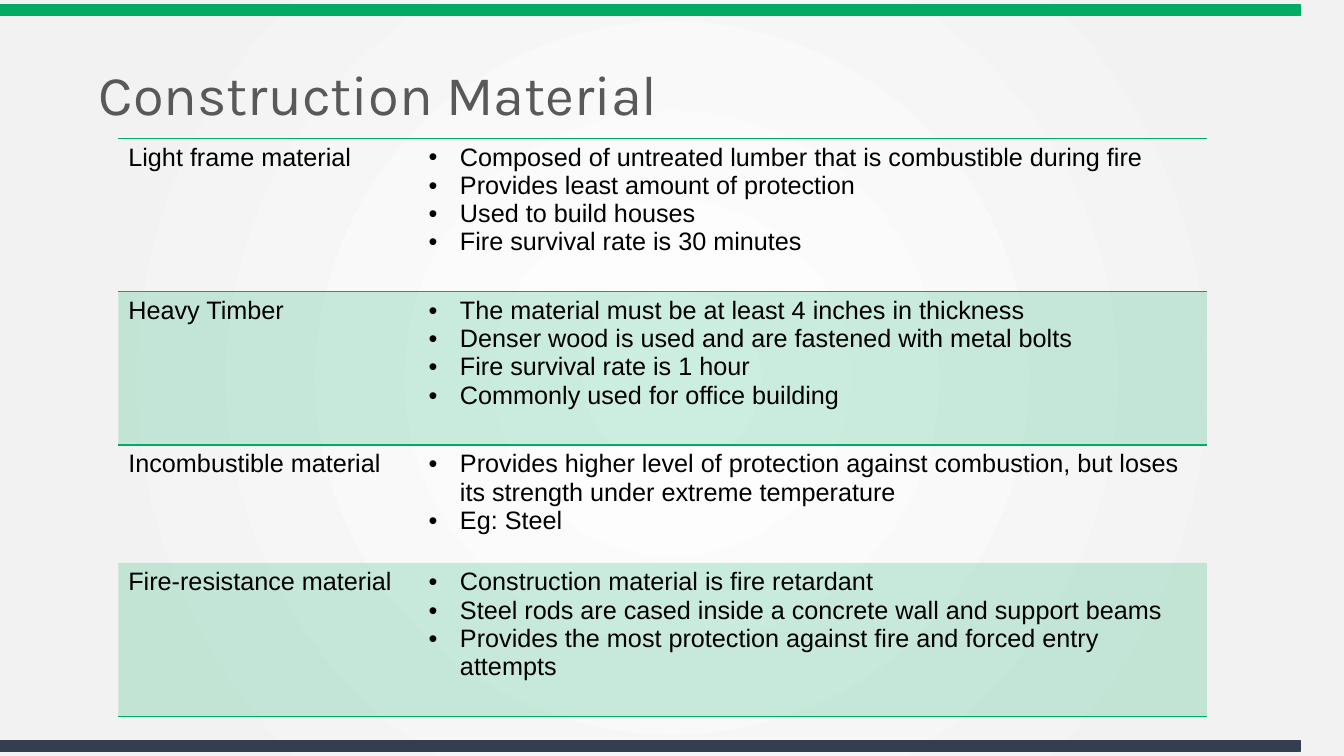
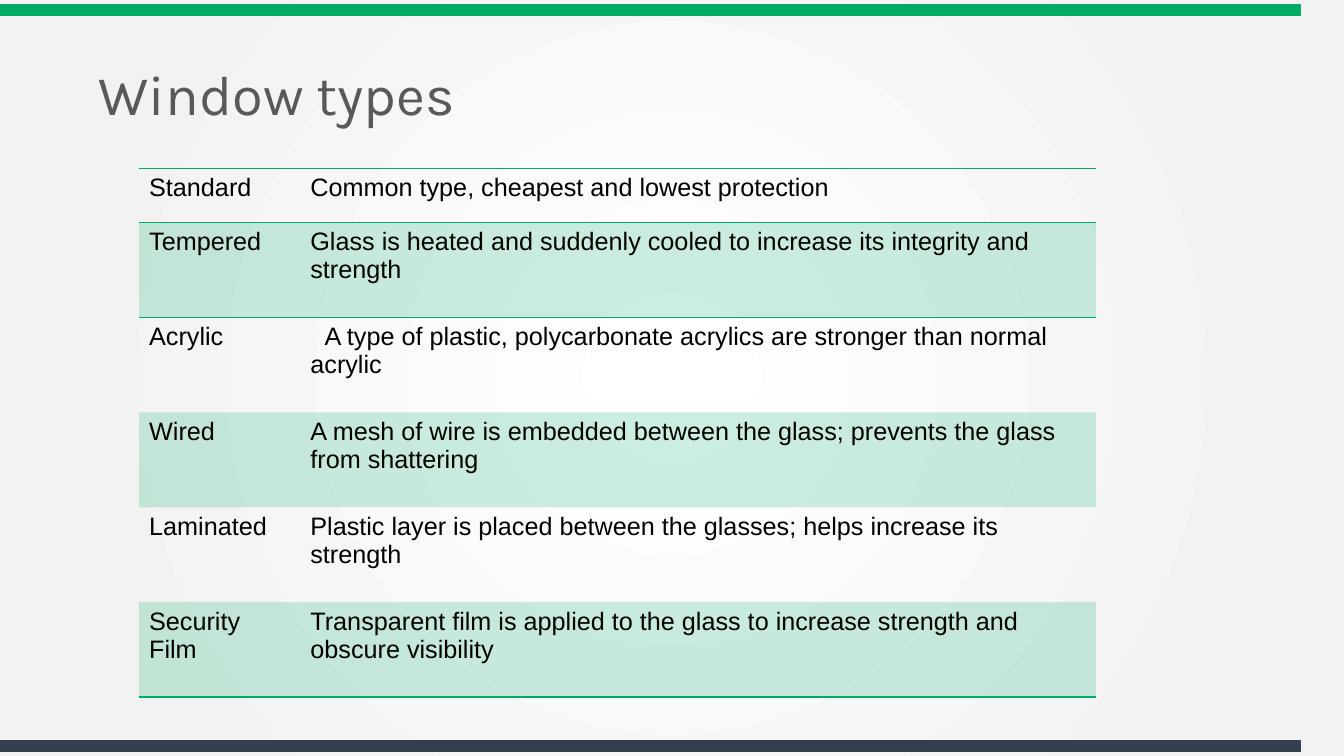
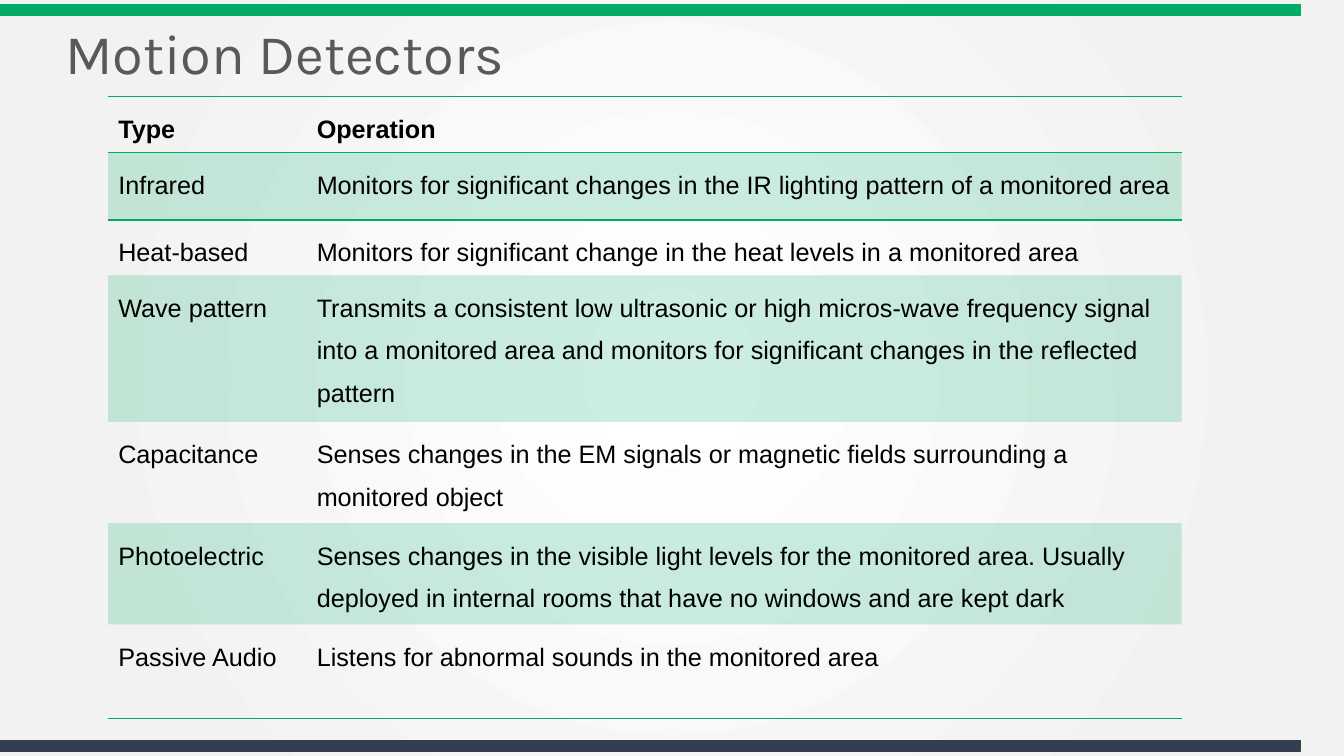
from dataclasses import dataclass

from pptx import Presentation, oxml, util as u
from pptx.dml import color
from pptx.enum import shapes, text
from pptx.oxml import ns


@dataclass(frozen=True)
class Theme:
    width: float = 13.33
    height: float = 7.5
    green: str = "00AC65"
    navy: str = "333F50"
    title_grey: str = "595959"
    black: str = "000000"
    centre: str = "FFFFFF"
    edge: str = "F2F2F2"
    title_font: str = "Karla"
    body_font: str = "Arial"
    title_size: int = 40
    body_size: int = 18
    line_width: int = 1
    tint: int = 20
    bullet_indent: float = 0.31
    plain_table: str = "{2D5ABB26-0587-4C30-8999-92F81FD0307C}"


THEME = Theme()


# Lengths as percentages of the slide
def across(percent):
    return u.Inches(THEME.width * percent / 100)


def down(percent):
    return u.Inches(THEME.height * percent / 100)


def rgb(code):
    return color.RGBColor.from_string(code)


def xml(markup):
    """Parse one DrawingML element written with the a: prefix."""
    tag, rest = markup[1:].split(" ", 1)
    return oxml.parse_xml(f"<{tag} {ns.nsdecls('a')} {rest}")


def format_runs(paragraph, font_name, size, code, bold=False):
    for run in paragraph.runs:
        run.font.name = font_name
        run.font.size = u.Pt(size)
        run.font.color.rgb = rgb(code)
        run.font.bold = bold


# Shared look on the master
def set_background(master):
    master.background.fill.gradient()
    gradient = master.element.find(".//" + ns.qn("a:gradFill"))
    stops = "".join(
        f'<a:gs pos="{position * 1000}"><a:srgbClr val="{code}"/></a:gs>'
        for position, code in ((0, THEME.centre), (81, THEME.edge), (100, THEME.edge))
    )
    gradient.getparent().replace(gradient, xml(
        f'<a:gradFill rotWithShape="1"><a:gsLst>{stops}</a:gsLst><a:path path="circle">'
        '<a:fillToRect l="50000" t="50000" r="50000" b="50000"/></a:path></a:gradFill>'
    ))


def add_band(slide, master, top, code):
    """Draw a band and move it to the master, behind its placeholders."""
    band = slide.shapes.add_shape(
        shapes.MSO_SHAPE.RECTANGLE, 0, down(top), across(96.77), down(1.33))
    band.shadow.inherit = False
    band.fill.solid()
    band.fill.fore_color.rgb = rgb(code)
    band.line.color.rgb = rgb(code)
    band.line.width = u.Pt(THEME.line_width)
    band.element.nvSpPr.cNvPr.id = 1 + max(shape.shape_id for shape in master.shapes)
    master.shapes.element.insert(2, band.element)


# Title
def add_titled_slide(presentation, title, left=6.6, top=7.5):
    slide = presentation.slides.add_slide(presentation.slide_layouts[5])
    shape = slide.shapes.title
    shape.left, shape.top = across(left), down(top)
    shape.width, shape.height = across(87.75), down(10.7)
    frame = shape.text_frame
    frame.text = title
    frame.word_wrap = True
    frame.auto_size = text.MSO_AUTO_SIZE.NONE
    frame.vertical_anchor = text.MSO_ANCHOR.MIDDLE
    paragraph = frame.paragraphs[0]
    paragraph.alignment = text.PP_ALIGN.LEFT
    paragraph.line_spacing = 0.9
    format_runs(paragraph, THEME.title_font, THEME.title_size, THEME.title_grey)
    return slide


# Table
def indent(paragraph, margin, first_line):
    properties = paragraph._p.get_or_add_pPr()
    properties.set("marL", str(u.Inches(margin)))
    properties.set("indent", str(u.Inches(first_line)))
    return properties


def add_bullet(paragraph):
    properties = indent(paragraph, THEME.bullet_indent, -THEME.bullet_indent)
    properties.append(xml('<a:buFont typeface="Arial"/>'))
    properties.append(xml('<a:buChar char="•"/>'))


def fill_cell(cell, content, spacing, bold):
    """Write a string as plain text, a list as bullets."""
    bulleted = isinstance(content, list)
    cell.text_frame.text = "\n".join(content) if bulleted else content
    for paragraph in cell.text_frame.paragraphs:
        paragraph.line_spacing = spacing
        if bulleted:
            add_bullet(paragraph)
        format_runs(paragraph, THEME.body_font, THEME.body_size, THEME.black, bold)


def style_cell(cell, tinted, edges):
    if tinted:
        cell.fill.solid()
        cell.fill.fore_color.rgb = rgb(THEME.green)
    else:
        cell.fill.background()
    properties = cell._tc.get_or_add_tcPr()
    if tinted:
        tone = properties.find(".//" + ns.qn("a:srgbClr"))
        tone.append(xml(f'<a:alpha val="{THEME.tint * 1000}"/>'))
    for position, edge in enumerate(edges):
        properties.insert(position, xml(
            f'<a:ln{edge} w="{u.Pt(THEME.line_width)}"><a:solidFill>'
            f'<a:srgbClr val="{THEME.green}"/></a:solidFill></a:ln{edge}>'
        ))


def add_table(slide, left, top, columns, heights, rows, spacing=None, header=False):
    """Add a table with every second row tinted, ruled around its first row and below."""
    table = slide.shapes.add_table(
        len(rows), len(columns), across(left), down(top),
        across(sum(columns)), down(sum(heights))).table
    table.first_row = table.horz_banding = False
    table._tbl.tblPr.find(ns.qn("a:tableStyleId")).text = THEME.plain_table
    for column, width in zip(table.columns, columns):
        column.width = across(width)
    edges = {0: "TB", 1: "T", len(rows) - 1: "B"}
    for index, (row, height, contents) in enumerate(zip(table.rows, heights, rows)):
        row.height = down(height)
        for cell, content in zip(row.cells, contents):
            fill_cell(cell, content, spacing, header and index == 0)
            style_cell(cell, index % 2 == 1, edges.get(index, ""))
    return table


# Content
MATERIALS = [
    ("Light frame material", [
        "Composed of untreated lumber that is combustible during fire",
        "Provides least amount of protection",
        "Used to build houses",
        "Fire survival rate is 30 minutes"]),
    ("Heavy Timber", [
        "The material must be at least 4 inches in thickness",
        "Denser wood is used and are fastened with metal bolts",
        "Fire survival rate is 1 hour",
        "Commonly used for office building"]),
    ("Incombustible material", [
        "Provides higher level of protection against combustion, but loses "
        "its strength under extreme temperature",
        "Eg: Steel"]),
    ("Fire-resistance material", [
        "Construction material is fire retardant",
        "Steel rods are cased inside a concrete wall and support beams",
        "Provides the most protection against fire and forced entry attempts"]),
]

WINDOWS = [
    ("Standard", "Common type, cheapest and lowest protection"),
    ("Tempered",
     "Glass is heated and suddenly cooled to increase its integrity and strength"),
    ("Acrylic",
     "A type of plastic, polycarbonate acrylics are stronger than normal acrylic"),
    ("Wired",
     "A mesh of wire is embedded between the glass; prevents the glass from shattering"),
    ("Laminated",
     "Plastic layer is placed between the glasses; helps increase its strength"),
    ("Security Film",
     "Transparent film is applied to the glass to increase strength and obscure visibility"),
]

DETECTORS = [
    ("Type", "Operation"),
    ("Infrared",
     "Monitors for significant changes in the IR lighting pattern of a monitored area"),
    ("Heat-based", "Monitors for significant change in the heat levels in a monitored area"),
    ("Wave pattern",
     "Transmits a consistent low ultrasonic or high micros-wave frequency signal into a "
     "monitored area and monitors for significant changes in the reflected pattern"),
    ("Capacitance",
     "Senses changes in the EM signals or magnetic fields surrounding a monitored object"),
    ("Photoelectric",
     "Senses changes in the visible light levels for the monitored area. Usually deployed "
     "in internal rooms that have no windows and are kept dark"),
    ("Passive Audio", "Listens for abnormal sounds in the monitored area"),
]


def main():
    presentation = Presentation()
    presentation.slide_width, presentation.slide_height = across(100), down(100)
    master = presentation.slide_master
    set_background(master)

    # Construction materials
    slide = add_titled_slide(presentation, "Construction Material")
    add_band(slide, master, 0.65, THEME.green)
    add_band(slide, master, 98, THEME.navy)
    add_table(slide, 8.8, 18.27, [22.35, 58.65], [20.3, 20.3, 15.6, 20.3], MATERIALS)

    # Window types
    slide = add_titled_slide(presentation, "Window types")
    table = add_table(slide, 10.35, 22.27, [12, 59.2], [7.2] + [12.55] * 5, WINDOWS)
    indent(table.cell(2, 1).text_frame.paragraphs[0], 0, 0.14)

    # Motion detectors
    slide = add_titled_slide(presentation, "Motion Detectors", left=4.1, top=2.1)
    add_table(slide, 8.05, 12.8, [14.77, 65.1],
              [7.35, 8.95, 7.35, 19.35, 13.4, 13.4, 12.5], DETECTORS,
              spacing=1.5, header=True)

    presentation.save("out.pptx")


if __name__ == "__main__":
    main()
